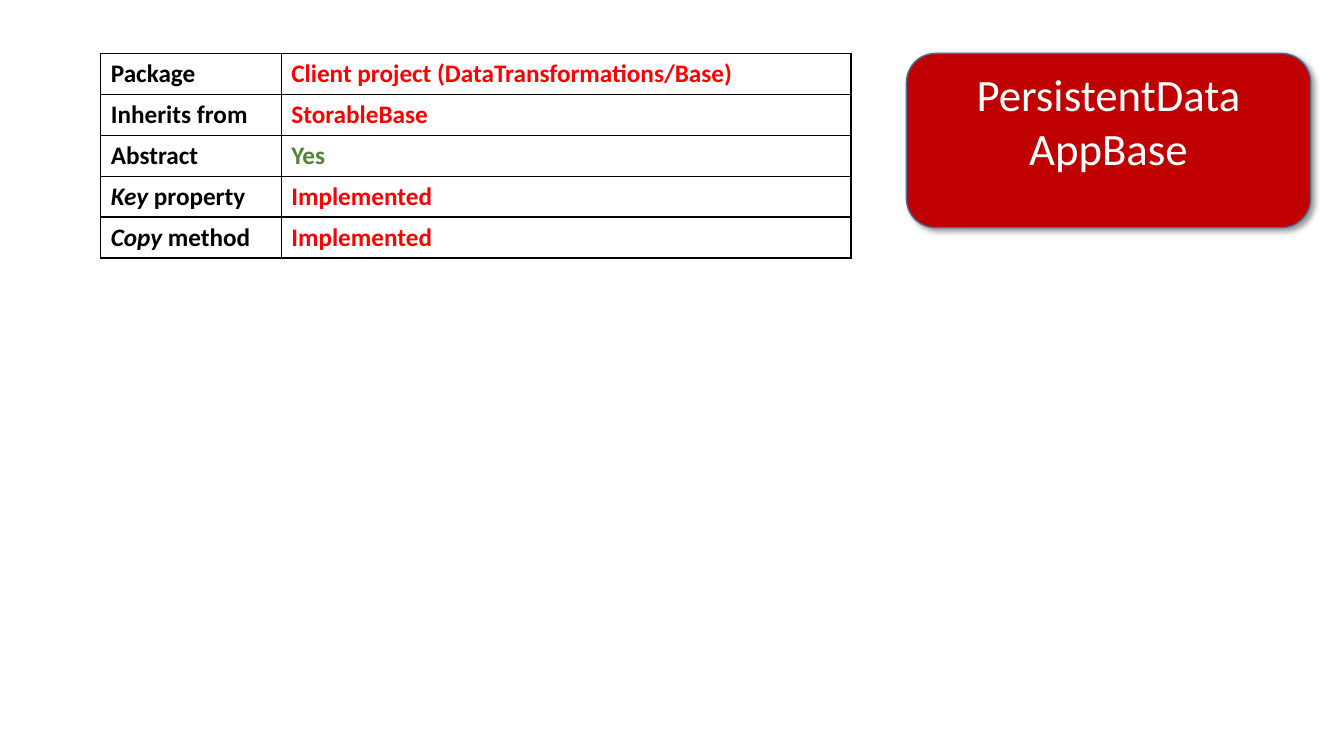
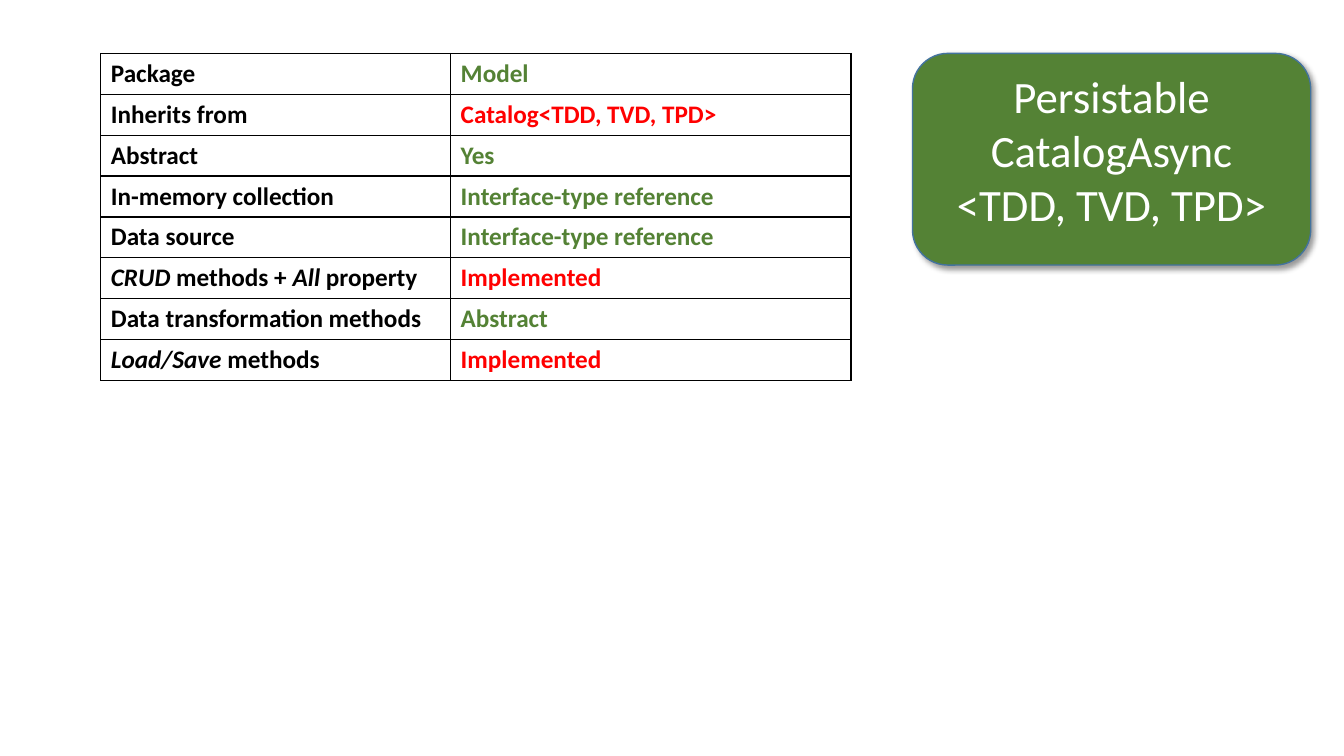
"""Build two class summary slides, each with a property table and a class name box."""
from dataclasses import dataclass
from typing import NamedTuple

from lxml.etree import SubElement
from pptx import Presentation
from pptx.dml.color import RGBColor
from pptx.enum.shapes import MSO_SHAPE as Shape
from pptx.enum.text import MSO_ANCHOR as Anchor, PP_ALIGN as Align
from pptx.oxml import parse_xml
from pptx.oxml.ns import nsdecls, qn
from pptx.shapes.autoshape import Shape as AutoShape
from pptx.slide import Slide
from pptx.table import _Cell as Cell
from pptx.text.text import _Paragraph as Paragraph
from pptx.util import Inches, Pt

BLACK = RGBColor(0x00, 0x00, 0x00)
WHITE = RGBColor(0xFF, 0xFF, 0xFF)
RED = RGBColor(0xFF, 0x00, 0x00)
GREEN = RGBColor(0x54, 0x82, 0x35)
DARK_RED = RGBColor(0xC0, 0x00, 0x00)
OUTLINE = RGBColor(0x43, 0x73, 0x9E)
FONT = "Calibri"

TOP = Inches(0.53)
TABLE_LEFT = Inches(1)
TABLE_WIDTH = Inches(7.44)
BOX_RIGHT = Inches(13)


class Run(NamedTuple):
    text: str
    italic: bool = False


class Row(NamedTuple):
    label: tuple[Run, ...]
    value: str
    color: RGBColor


@dataclass(frozen=True)
class ClassSheet:
    name: tuple[str, ...]
    fill: RGBColor
    box_width: float
    box_height: float
    label_width: float
    table_height: float
    rows: tuple[Row, ...]


SHEETS = (
    ClassSheet(
        ("PersistentData", "AppBase"), DARK_RED, 4.01, 1.73, 1.79, 2.03,
        (
            Row((Run("Package"),), "Client project (DataTransformations/Base)", RED),
            Row((Run("Inherits from"),), "StorableBase", RED),
            Row((Run("Abstract"),), "Yes", GREEN),
            Row((Run("Key", True), Run(" property")), "Implemented", RED),
            Row((Run("Copy", True), Run(" method")), "Implemented", RED),
        ),
    ),
    ClassSheet(
        ("Persistable", "CatalogAsync", "<TDD, TVD, TPD>"), GREEN, 3.95, 2.1, 3.47, 3.24,
        (
            Row((Run("Package"),), "Model", GREEN),
            Row((Run("Inherits from"),), "Catalog<TDD, TVD, TPD>", RED),
            Row((Run("Abstract"),), "Yes", GREEN),
            Row((Run("In-memory collection"),), "Interface-type reference", GREEN),
            Row((Run("Data source"),), "Interface-type reference", GREEN),
            Row(
                (Run("CRUD", True), Run(" methods + "), Run("All", True), Run(" property")),
                "Implemented", RED,
            ),
            Row((Run("Data transformation methods"),), "Abstract", GREEN),
            Row((Run("Load/Save", True), Run(" methods")), "Implemented", RED),
        ),
    ),
)


def add_run(p: Paragraph, run: Run, size: int, color: RGBColor, bold: bool) -> None:
    """Append one formatted run to a paragraph."""
    r = p.add_run()
    r.text = run.text
    r.font.name = FONT
    r.font.size = Pt(size)
    r.font.bold = bold
    r.font.italic = run.italic
    r.font.color.rgb = color


def add_shadow(sp: AutoShape) -> None:
    """Give a shape a soft shadow towards the lower right."""
    sp.shadow.inherit = False
    effects = sp._element.spPr.find(qn("a:effectLst"))
    shadow = SubElement(
        effects, qn("a:outerShdw"), blurRad=str(Pt(4)), dist=str(Pt(3)),
        dir="2700000", algn="tl", rotWithShape="0",
    )
    color = SubElement(shadow, qn("a:srgbClr"), val=str(BLACK))
    SubElement(color, qn("a:alpha"), val="40000")


def add_name_box(s: Slide, sheet: ClassSheet) -> None:
    """Draw the rounded box that holds the class name."""
    width = Inches(sheet.box_width)
    sp = s.shapes.add_shape(
        Shape.ROUNDED_RECTANGLE, BOX_RIGHT - width, TOP, width, Inches(sheet.box_height)
    )
    sp.fill.solid()
    sp.fill.fore_color.rgb = sheet.fill
    sp.line.color.rgb = OUTLINE
    sp.line.width = Pt(1)
    add_shadow(sp)
    tf = sp.text_frame
    tf.word_wrap = True
    tf.vertical_anchor = Anchor.TOP
    tf.margin_top = Inches(0.05)
    for i, line in enumerate(sheet.name):
        p = tf.add_paragraph() if i else tf.paragraphs[0]
        p.alignment = Align.CENTER
        add_run(p, Run(line), 32, WHITE, False)


def fill_cell(cell: Cell, runs: tuple[Run, ...], color: RGBColor) -> None:
    """Write a bordered, unfilled table cell."""
    tc_pr = cell._tc.get_or_add_tcPr()
    for side in ("lnL", "lnR", "lnT", "lnB"):
        tc_pr.append(parse_xml(
            f'<a:{side} {nsdecls("a")} w="{Pt(1)}"><a:solidFill>'
            f'<a:srgbClr val="{BLACK}"/></a:solidFill></a:{side}>'
        ))
    cell.fill.background()
    for run in runs:
        add_run(cell.text_frame.paragraphs[0], run, 18, color, True)


def add_property_table(s: Slide, sheet: ClassSheet) -> None:
    """Draw the two-column table of class properties."""
    table = s.shapes.add_table(
        len(sheet.rows), 2, TABLE_LEFT, TOP, TABLE_WIDTH, Inches(sheet.table_height)
    ).table
    table.first_row = False
    table.horz_banding = False
    table.columns[0].width = Inches(sheet.label_width)
    table.columns[1].width = TABLE_WIDTH - Inches(sheet.label_width)
    for i, row in enumerate(sheet.rows):
        fill_cell(table.cell(i, 0), row.label, BLACK)
        fill_cell(table.cell(i, 1), (Run(row.value),), row.color)


def main() -> None:
    """Build and save the presentation."""
    prs = Presentation()
    prs.slide_width = Inches(13.33)
    prs.slide_height = Inches(7.5)
    for sheet in SHEETS:
        s = prs.slides.add_slide(prs.slide_layouts[6])
        add_name_box(s, sheet)
        add_property_table(s, sheet)
    prs.save("out.pptx")


if __name__ == "__main__":
    main()
